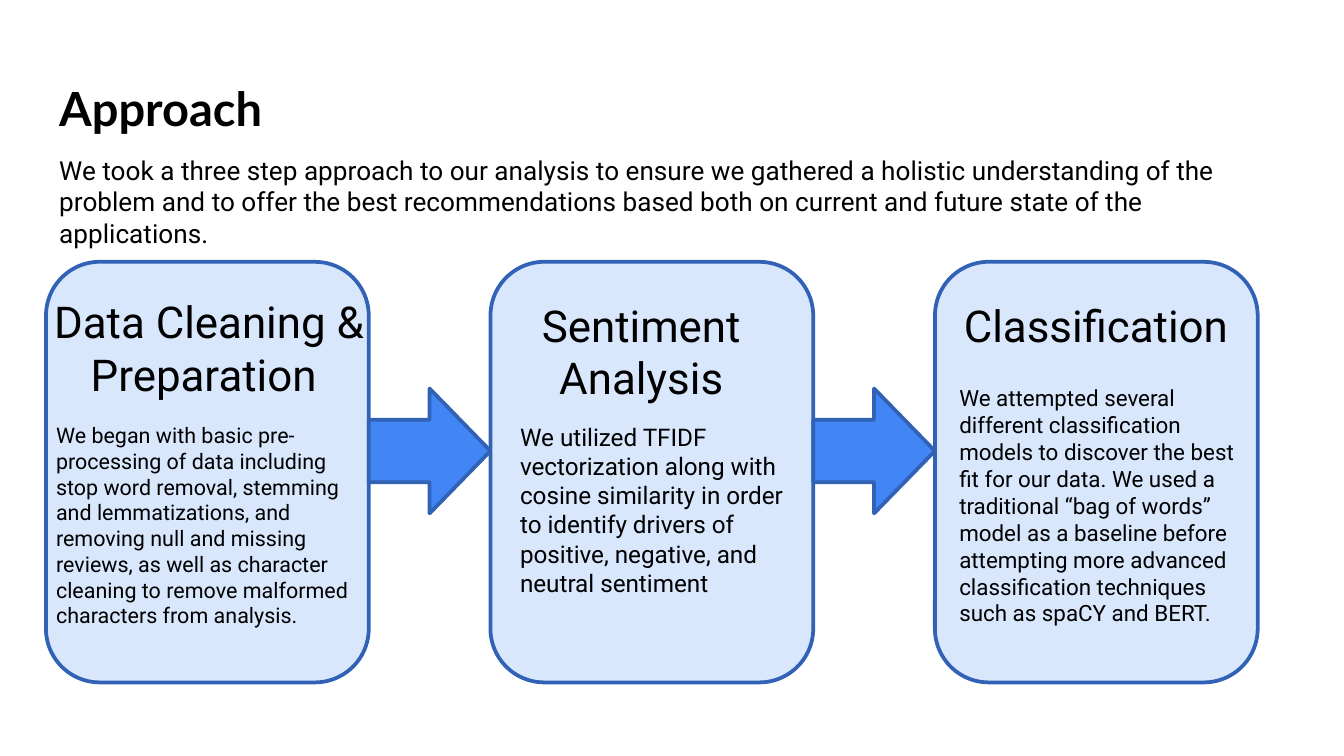
"""Build the three-step approach slide."""
from dataclasses import dataclass

from pptx import Presentation
from pptx.dml.color import RGBColor
from pptx.enum.shapes import MSO_SHAPE
from pptx.enum.text import PP_ALIGN
from pptx.util import Cm, Pt

ROUNDED, ARROW = MSO_SHAPE.ROUNDED_RECTANGLE, MSO_SHAPE.RIGHT_ARROW
LEFT, CENTER = PP_ALIGN.LEFT, PP_ALIGN.CENTER


@dataclass(frozen=True)
class Theme:
    ink: RGBColor = RGBColor(0x00, 0x00, 0x00)
    card: RGBColor = RGBColor(0xD9, 0xE7, 0xFD)
    arrow: RGBColor = RGBColor(0x42, 0x85, 0xF4)
    outline: RGBColor = RGBColor(0x31, 0x62, 0xB5)
    outline_width: float = 2
    title_font: str = "Lato"
    body_font: str = "Roboto"
    title_size: float = 25.2
    intro_size: float = 14
    heading_size: float = 23.5
    step_sizes: tuple[float, ...] = (11.5, 13, 12)


@dataclass(frozen=True)
class Box:
    left: float
    top: float
    width: float
    height: float

    def lengths(self) -> tuple[Cm, Cm, Cm, Cm]:
        return Cm(self.left), Cm(self.top), Cm(self.width), Cm(self.height)


@dataclass(frozen=True)
class Step:
    heading: str
    heading_box: Box
    body: str
    body_box: Box


THEME = Theme()
CARD_LEFT, CARD_TOP, CARD_WIDTH, CARD_HEIGHT = 0.87, 4.95, 6.1, 7.95
CARD_PITCH = 8.4
ARROW_HEIGHT = 2.36

INTRO = (
    "We took a three step approach to our analysis to ensure we gathered a "
    "holistic understanding of the problem and to offer the best recommendations "
    "based both on current and future state of the applications."
)
STEPS = (
    Step(
        "Data Cleaning & Preparation ", Box(0.74, 5.44, 6.43, 2.26),
        "We began with basic pre-processing of data including stop word removal, "
        "stemming and lemmatizations, and removing null and missing reviews, as "
        "well as character cleaning to remove malformed characters from analysis.",
        Box(0.81, 7.85, 6.25, 4.19),
    ),
    Step(
        "Sentiment Analysis", Box(9.07, 5.51, 6.1, 2.26),
        "We utilized TFIDF vectorization along with cosine similarity in order to "
        "identify drivers of positive, negative, and neutral sentiment",
        Box(9.58, 7.85, 5.59, 3.58),
    ),
    Step(
        "Classification", Box(17.45, 5.51, 6.53, 1.27),
        "We attempted several different classification models to discover the best "
        "fit for our data. We used a traditional “bag of words” model as a baseline "
        "before attempting more advanced classification techniques such as spaCY "
        "and BERT.",
        Box(17.88, 7.14, 6.1, 4.88),
    ),
)


def add_text(s, text: str, box: Box, *, size: float, font: str = THEME.body_font,
             bold: bool = False, align: PP_ALIGN = LEFT, inset: float = 0.13) -> None:
    tf = s.shapes.add_textbox(*box.lengths()).text_frame
    tf.word_wrap = True
    tf.margin_top = tf.margin_bottom = Cm(inset)
    p = tf.paragraphs[0]
    p.alignment = align
    r = p.add_run()
    r.text = text
    r.font.name, r.font.size, r.font.bold = font, Pt(size), bold
    r.font.color.rgb = THEME.ink


def add_block(s, kind: MSO_SHAPE, box: Box, fill: RGBColor) -> None:
    sp = s.shapes.add_shape(kind, *box.lengths())
    sp.shadow.inherit = False
    sp.fill.solid()
    sp.fill.fore_color.rgb = fill
    sp.line.color.rgb = THEME.outline
    sp.line.width = Pt(THEME.outline_width)


def add_flow(s) -> None:
    lefts = [CARD_LEFT + i * CARD_PITCH for i in range(len(STEPS))]
    for left in lefts:
        add_block(s, ROUNDED, Box(left, CARD_TOP, CARD_WIDTH, CARD_HEIGHT), THEME.card)
    arrow_top = CARD_TOP + (CARD_HEIGHT - ARROW_HEIGHT) / 2 - 0.4
    for left in lefts[:-1]:
        box = Box(left + CARD_WIDTH, arrow_top, CARD_PITCH - CARD_WIDTH, ARROW_HEIGHT)
        add_block(s, ARROW, box, THEME.arrow)


def main() -> None:
    prs = Presentation()
    prs.slide_width, prs.slide_height = Cm(25.4), Cm(14.29)
    s = prs.slides.add_slide(prs.slide_layouts[6])
    add_text(s, "Approach", Box(0.87, 1.25, 23.67, 1.6), size=THEME.title_size,
             font=THEME.title_font, bold=True, inset=0.25)
    add_flow(s)
    for step, size in zip(STEPS, THEME.step_sizes):
        add_text(s, step.heading, step.heading_box, size=THEME.heading_size, align=CENTER)
        add_text(s, step.body, step.body_box, size=size)
    add_text(s, INTRO, Box(0.87, 2.79, 22.89, 2.06), size=THEME.intro_size)
    prs.save("out.pptx")


if __name__ == "__main__":
    main()
